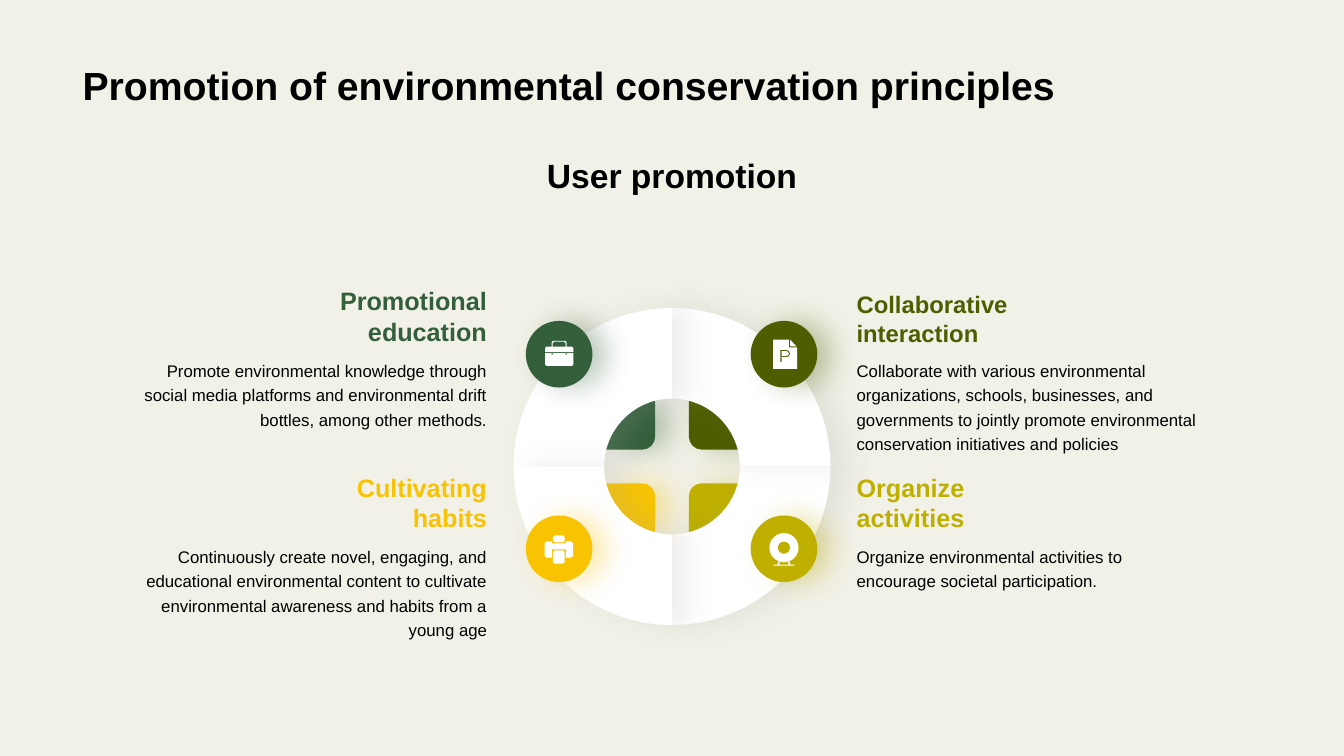
import math
import lxml.etree
import pptx
import pptx.dml.color
import pptx.enum.shapes
import pptx.enum.text
import pptx.oxml.ns
import pptx.util

Pt = pptx.util.Pt
qn = pptx.oxml.ns.qn
ALIGN = pptx.enum.text.PP_ALIGN
ANCHOR = pptx.enum.text.MSO_ANCHOR
FIT = pptx.enum.text.MSO_AUTO_SIZE

TITLE = "Promotion of environmental conservation principles"
TOPIC = "User promotion"
PARTS = {
    "SE": dict(sx=1, sy=1, hue="BEAF00", head="Organize activities", size=18, width=242, high=42,
               body="Organize environmental activities to encourage societal participation."),
    "SW": dict(sx=-1, sy=1, hue="F7C302", head="Cultivating habits", size=18, width=265, high=77,
               body="Continuously create novel, engaging, and educational environmental content "
                    "to cultivate environmental awareness and habits from a young age"),
    "NE": dict(sx=1, sy=-1, hue="4F5C00", head="Collaborative interaction", size=17, width=265, high=77,
               body="Collaborate with various environmental organizations, schools, businesses, and "
                    "governments to jointly promote environmental conservation initiatives and policies"),
    "NW": dict(sx=-1, sy=-1, hue="345F3B", head="Promotional education", size=18, width=266, high=60,
               body="Promote environmental knowledge through social media platforms and "
                    "environmental drift bottles, among other methods."),
}
STACK = ["SE petal", "SE ring", "SW petal", "NE petal", "NW petal", "NE ring", "NW ring", "SW ring"]
TURN = ["SE", "SW", "NW", "NE"]
MID = (480, 333.2)
OUTER, INNER, GAP, PETAL = 113.2, 48.5, 12, 35.3
BADGE = 47.6


def arc(x, y, r, start, way=1):
    if not r:
        return [(x, y)]
    a, b = math.radians(start), math.radians(start + 90 * way)
    k = 0.55 * way
    first = (x + r * math.cos(a), y + r * math.sin(a))
    last = (x + r * math.cos(b), y + r * math.sin(b))
    lead = (first[0] - k * r * math.sin(a), first[1] + k * r * math.cos(a))
    tail = (last[0] + k * r * math.sin(b), last[1] - k * r * math.cos(b))
    return [first, lead + tail + last]


def box(x, y, w, h, *radii):
    radii = radii * 4 if len(radii) == 1 else radii or (0,) * 4
    points = []
    for i, r in enumerate(radii):
        cx = x + (w - r if i in (1, 2) else r)
        cy = y + (h - r if i > 1 else r)
        points += arc(cx, cy, r, 180 + 90 * i)
    return points


def disc(x, y, r):
    return box(x - r, y - r, 2 * r, 2 * r, r)


ICONS = {
    "NW": [box(-10, -5.4, 20.2, 3.7, 1, 1, 0, 0), box(-10, -1, 20.2, 9.4, 0, 0, 1, 1),
           box(-5.3, -9.6, 10.6, 4.2, 1.5, 1.5, 0, 0), box(-4.6, -8.9, 9.2, 3.5, 1, 1, 0, 0),
           box(-5.3, -1, 0.7, 1.5), box(4.6, -1, 0.7, 1.5)],
    "NE": [[(-7.8, -10.4), (3.6, -10.4), (3.6, -4.8), (9.5, -4.8), (9.5, 10.5), (-7.8, 10.5)],
           [(4.4, -10.4), (9, -5.5), (4.4, -5.5)],
           box(-2.5, -3, 6.9, 5.2, 0, 2.6, 2.6, 0), box(-1.6, -2.2, 5.1, 3.6, 0, 1.8, 1.8, 0),
           box(-2.5, 2.2, 0.9, 3.4)],
    "SW": [box(-10.4, -5.3, 20.4, 11.6, 1.3), box(-5.2, -5.3, 10, 1.5), box(-5.2, 0.5, 10, 5.8),
           box(-4.4, -9.6, 8.4, 5, 1.2), box(-4.4, 1.2, 8.4, 9.4, 1.2)],
    "SE": [disc(0, -0.8, 10.4), disc(0, -0.8, 4.4), box(-7.6, 11.3, 15.2, 0.8),
           [(-4, 9.2), (-3, 9.8), (-3.4, 11.3), (-4.6, 11.3)],
           [(4, 9.2), (3, 9.8), (3.4, 11.3), (4.6, 11.3)]],
}

deck = pptx.Presentation()
deck.slide_width, deck.slide_height = Pt(960), Pt(540)
slide = deck.slides.add_slide(deck.slide_layouts[6])


def paint(fill, hue):
    fill.solid()
    fill.fore_color.rgb = pptx.dml.color.RGBColor.from_string(hue)


def dress(shape, hue, glow=None, alpha=32):
    paint(shape.fill, hue)
    shape.line.fill.background()
    shape.shadow.inherit = False
    if glow:
        effect = shape._element.spPr.find(qn("a:effectLst"))
        outer = lxml.etree.SubElement(effect, qn("a:outerShdw"), blurRad=str(Pt(20)),
                                      dist=str(Pt(10)), dir="0", algn="l", rotWithShape="0")
        tone = lxml.etree.SubElement(outer, qn("a:srgbClr"), val=glow)
        lxml.etree.SubElement(tone, qn("a:alpha"), val=str(alpha * 1000))


def trace(paths, dx, dy):
    paths = [[[(v + (dy if i % 2 else dx)) * 100 for i, v in enumerate(step)] for step in path]
             for path in paths]
    pen = None
    for path in paths:
        ends = [step[-2:] for step in path]
        if pen is None:
            pen = slide.shapes.build_freeform(*ends[0], scale=127.0)
        else:
            pen.move_to(*ends[0])
        pen.add_line_segments(ends[1:], close=True)
    shape = pen.convert_to_shape()
    left = min(round(step[-2]) for path in paths for step in path)
    top = min(round(step[-1]) for path in paths for step in path)
    steps = [step for path in paths for step in path[1:]]
    for line, step in zip(list(shape._element.iter(qn("a:lnTo"))), steps):
        if len(step) == 6:
            curve = lxml.etree.Element(qn("a:cubicBezTo"))
            for i in (0, 2, 4):
                lxml.etree.SubElement(curve, qn("a:pt"), x=str(round(step[i]) - left),
                                      y=str(round(step[i + 1]) - top))
            line.getparent().replace(line, curve)
    return shape


def write(text, place, size, hue="000000", bold=False, align=ALIGN.LEFT, space=None, **frame):
    label = slide.shapes.add_textbox(*map(Pt, place)).text_frame
    for key, value in dict(dict(word_wrap=True), **frame).items():
        setattr(label, key, value)
    para = label.paragraphs[0]
    para.alignment = align
    if space:
        para.line_spacing = space
    run = para.add_run()
    run.text = text
    for key, value in dict(name="Arial", size=Pt(size), bold=bold).items():
        setattr(run.font, key, value)
    paint(run.font.fill, hue)


def petal(name):
    part = PARTS[name]
    x, y = [GAP if s > 0 else -GAP - PETAL for s in (part["sx"], part["sy"])]
    near = TURN.index(name)
    radii = [0] * 4
    radii[near], radii[(near + 2) % 4] = 9.4, PETAL
    dress(trace([box(x, y, PETAL, PETAL, *radii)], *MID), part["hue"], part["hue"])


def ring(name):
    a = 90 * TURN.index(name)
    path = arc(0, 0, OUTER, a) + arc(0, 0, INNER, a + 90, -1)
    dress(trace([path], *MID), "FFFFFF", "A6A6A6", 20)


paint(slide.background.fill, "F2F1E7")
for step in STACK:
    name, kind = step.split()
    (petal if kind == "petal" else ring)(name)

for name, part in PARTS.items():
    right, low = part["sx"] > 0, part["sy"] > 0
    hue, width = part["hue"], part["width"]
    top = 362.3 if low else 229.7 if right else 229
    align = ALIGN.LEFT if right else ALIGN.RIGHT
    write(part["head"], (604.8 if right else 355 - 149, top, 149, 21.8), part["size"], hue, True,
          align, word_wrap=False, vertical_anchor=ANCHOR.BOTTOM)
    write(part["body"], (604.8 if right else 355 - width, 384.3 if low else 251.4, width, part["high"]),
          12, align=align, space=1.2, auto_size=FIT.SHAPE_TO_FIT_TEXT)
    x, y = 560 if right else 399.4, 392 if low else 253
    badge = slide.shapes.add_shape(pptx.enum.shapes.MSO_SHAPE.OVAL,
                                   *map(Pt, (x - BADGE / 2, y - BADGE / 2, BADGE, BADGE)))
    dress(badge, hue, hue)
    dress(trace(ICONS[name], x, y), "FFFFFF")

write(TOPIC, (213, 106.8, 534, 36.4), 24, bold=True, align=ALIGN.CENTER, auto_size=FIT.SHAPE_TO_FIT_TEXT)
write(TITLE, (52, 0, 855.5, 80.6), 28, bold=True, vertical_anchor=ANCHOR.BOTTOM)
deck.save("out.pptx")
